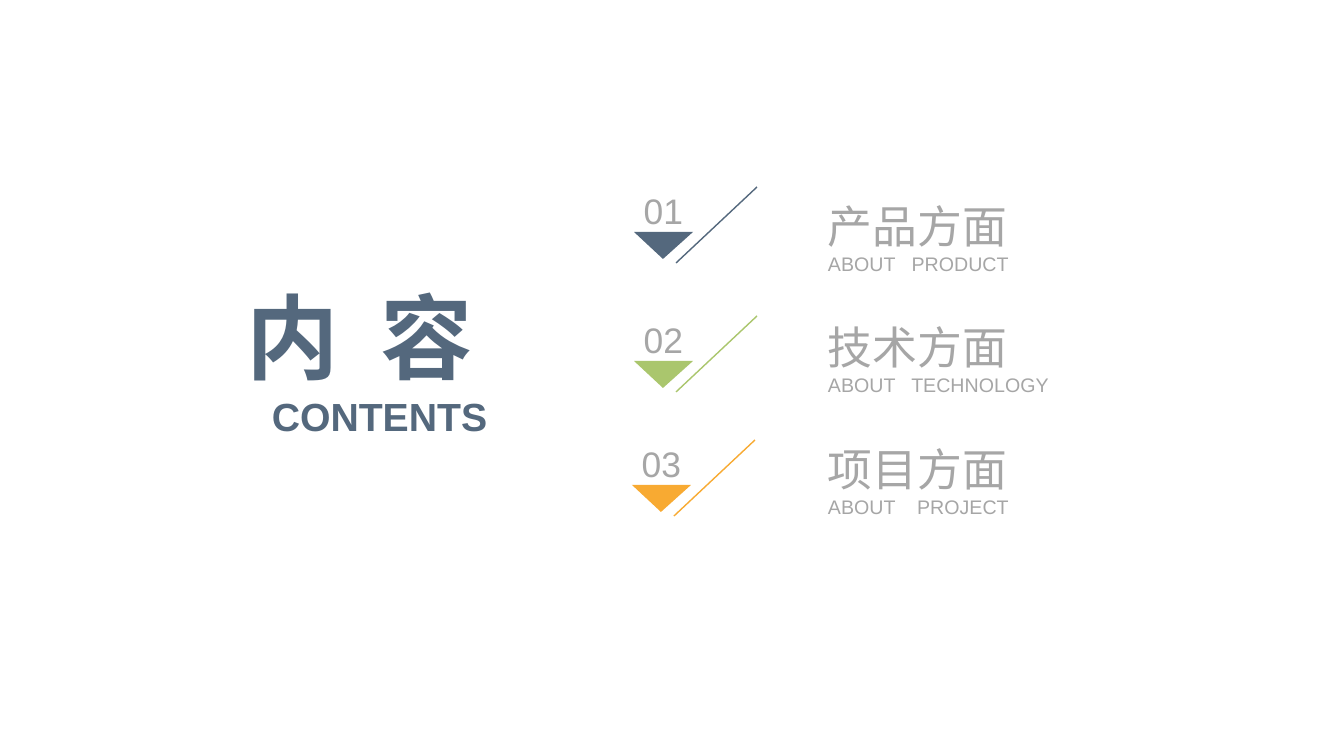
from lxml import etree
from pptx import Presentation
from pptx import util as u
from pptx.dml.color import RGBColor
from pptx.enum import shapes, text
from pptx.oxml import ns

PX = 914400 / 100.8
INK = {"navy": "54687D", "green": "AAC66D", "gold": "F8AA32", "grey": "A6A6A6"}
ROWS = [
    ("01", "产品方面", "ABOUT   PRODUCT", "navy", 634, 187, 198),
    ("02", "技术方面", "ABOUT   TECHNOLOGY", "green", 634, 316, 319),
    ("03", "项目方面", "ABOUT    PROJECT", "gold", 632, 440, 441),
]


def px(n):
    return round(n * PX)


def rgb(name):
    return RGBColor.from_string(INK[name])


def write(host, box, lines, color="grey", bold=False,
          align=text.PP_ALIGN.LEFT, anchor=text.MSO_ANCHOR.MIDDLE):
    frame = host.add_textbox(*map(px, box)).text_frame
    frame.word_wrap = True
    frame.auto_size = text.MSO_AUTO_SIZE.SHAPE_TO_FIT_TEXT
    frame.vertical_anchor = anchor
    frame.margin_left = frame.margin_right = 0
    frame.margin_top = frame.margin_bottom = 0
    for i, (words, size) in enumerate(lines):
        para = frame.add_paragraph() if i else frame.paragraphs[0]
        para.alignment = align
        run = para.add_run()
        run.text = words
        font = run.font
        font.name = "Arial"
        font.size = u.Pt(size)
        font.bold = bold
        font.color.rgb = rgb(color)


def slash(host, x, y, color):
    line = host.add_connector(shapes.MSO_CONNECTOR.STRAIGHT,
                              px(x + 81), px(y), px(x), px(y + 76))
    line.line.color.rgb = rgb(color)
    line.line.width = u.Pt(1)
    etree.SubElement(line._element.spPr, ns.qn("a:effectLst"))


def wedge(host, x, y, color):
    pen = host.build_freeform(px(x), px(y))
    pen.add_line_segments([(px(x + 59), px(y)), (px(x + 29), px(y + 27))])
    shape = pen.convert_to_shape()
    shape.shadow.inherit = False
    shape.fill.solid()
    shape.fill.fore_color.rgb = rgb(color)
    shape.line.fill.background()


def badge(slide, number, x, y, color):
    group = slide.shapes.add_group_shape().shapes
    slash(group, x + 42, y, color)
    wedge(group, x, y + 45, color)
    write(group, (x - 2, y + 2, 63, 43), [(number, 25.3)],
          align=text.PP_ALIGN.CENTER, anchor=text.MSO_ANCHOR.BOTTOM)


def main():
    deck = Presentation()
    deck.slide_width, deck.slide_height = px(1344), px(756)
    slide = deck.slides.add_slide(deck.slide_layouts[6])
    for number, title, label, color, x, y, top in ROWS:
        write(slide.shapes, (828, top, 338, 78), [(title, 32), (label, 14)])
        badge(slide, number, x, y, color)
    write(slide.shapes, (221, 280, 278, 112), [("内  容", 66)],
          color="navy", bold=True, align=text.PP_ALIGN.CENTER)
    write(slide.shapes, (223, 392, 313, 47), [("CONTENTS", 28)],
          color="navy", bold=True, align=text.PP_ALIGN.CENTER,
          anchor=text.MSO_ANCHOR.TOP)
    deck.save("out.pptx")


if __name__ == "__main__":
    main()
